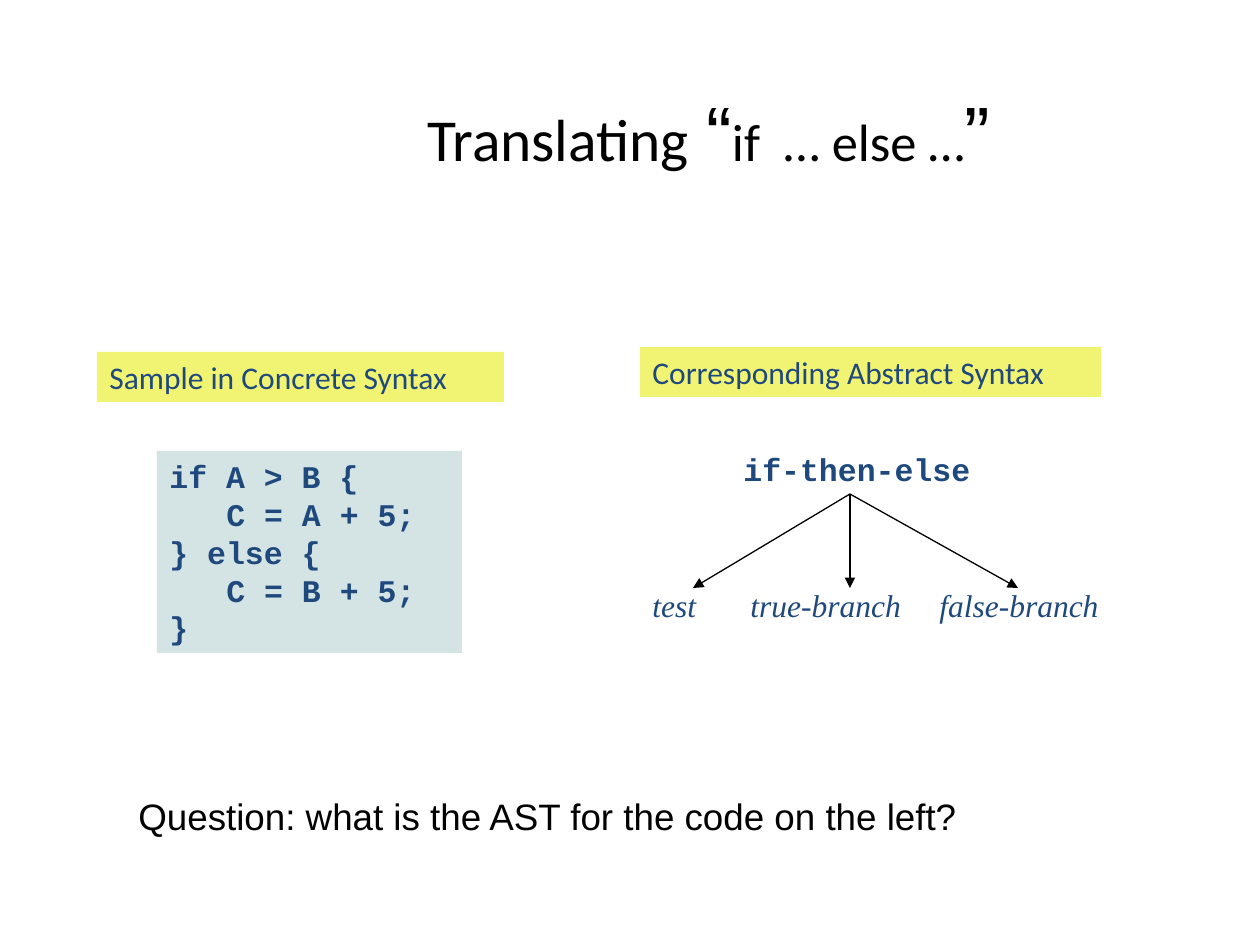
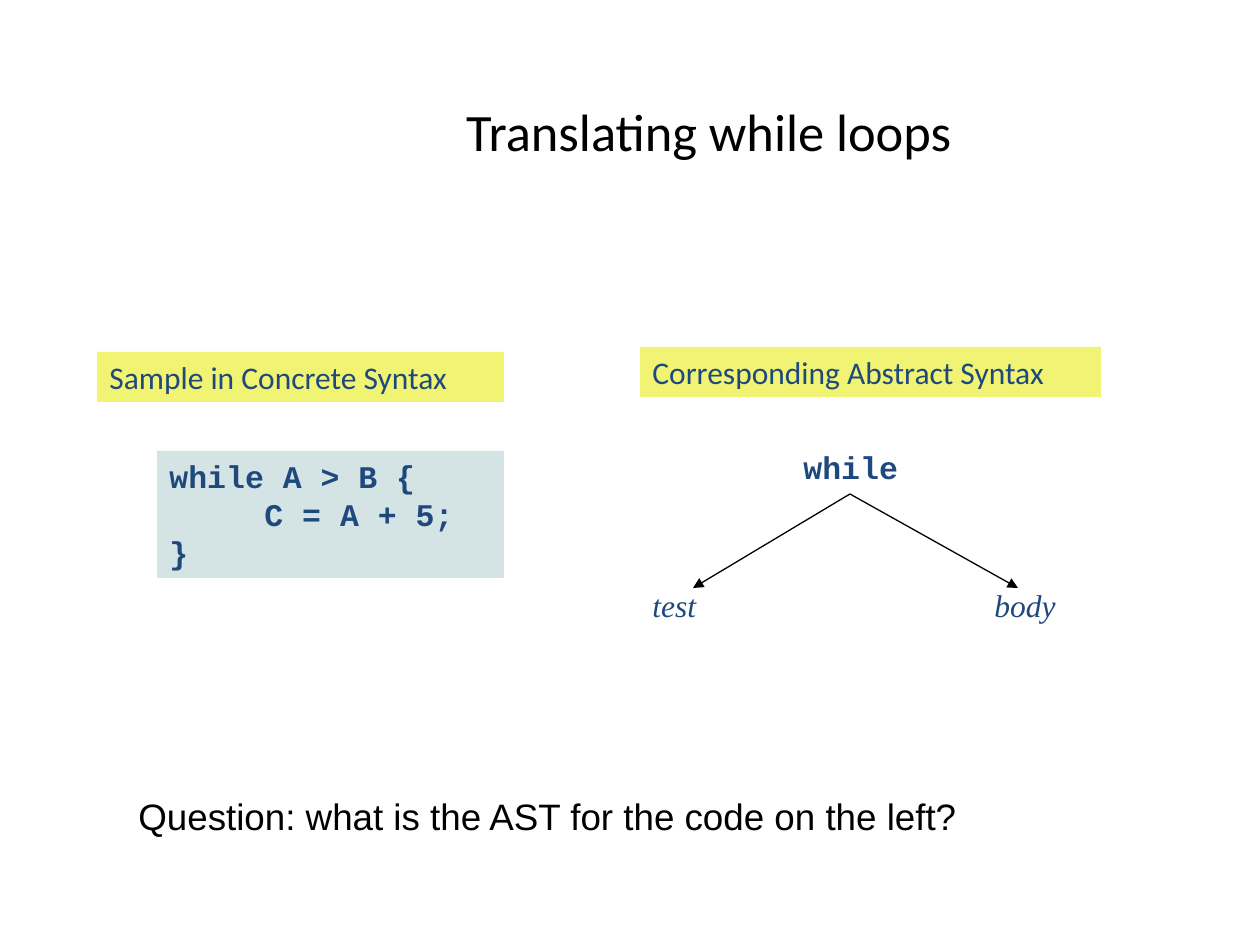
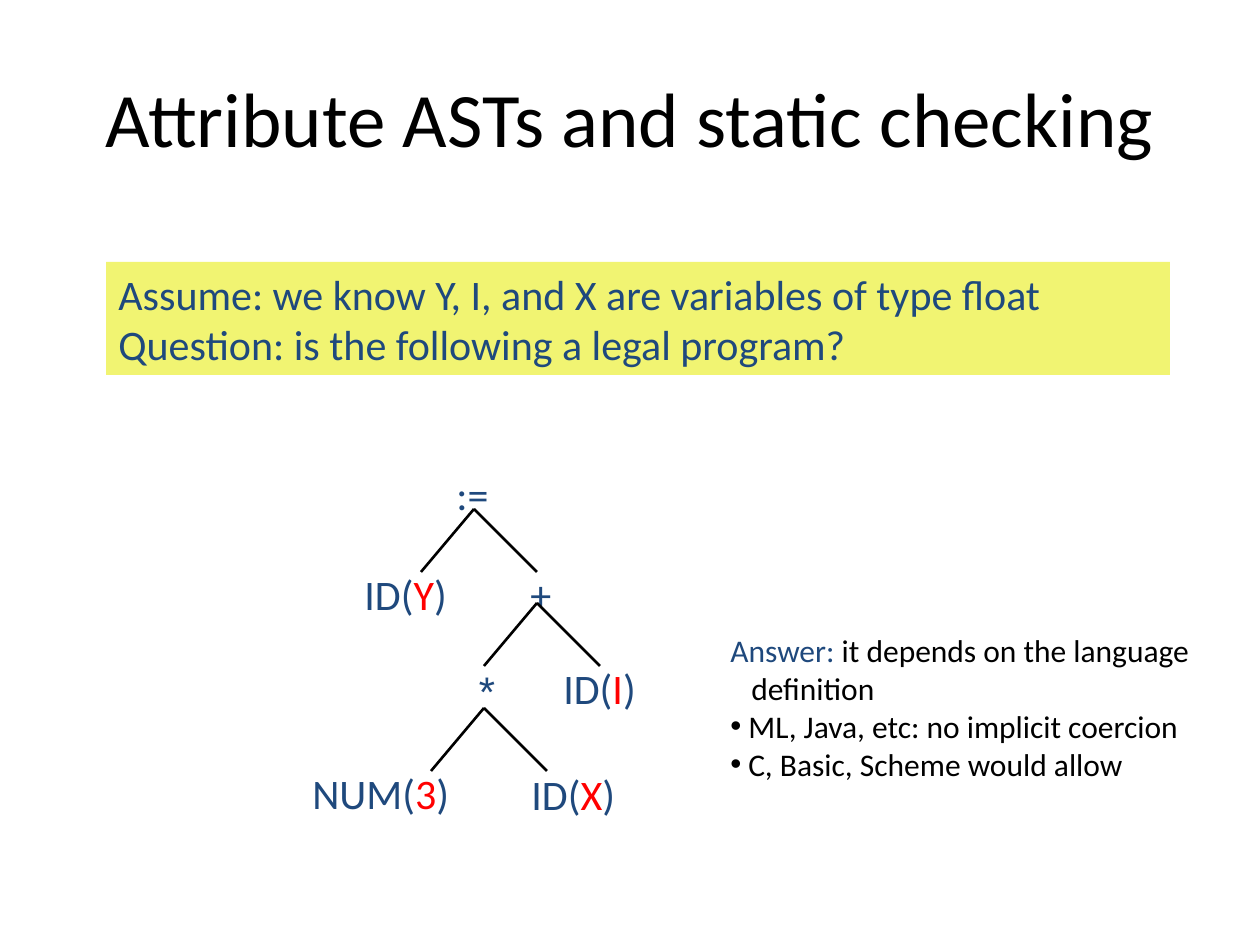
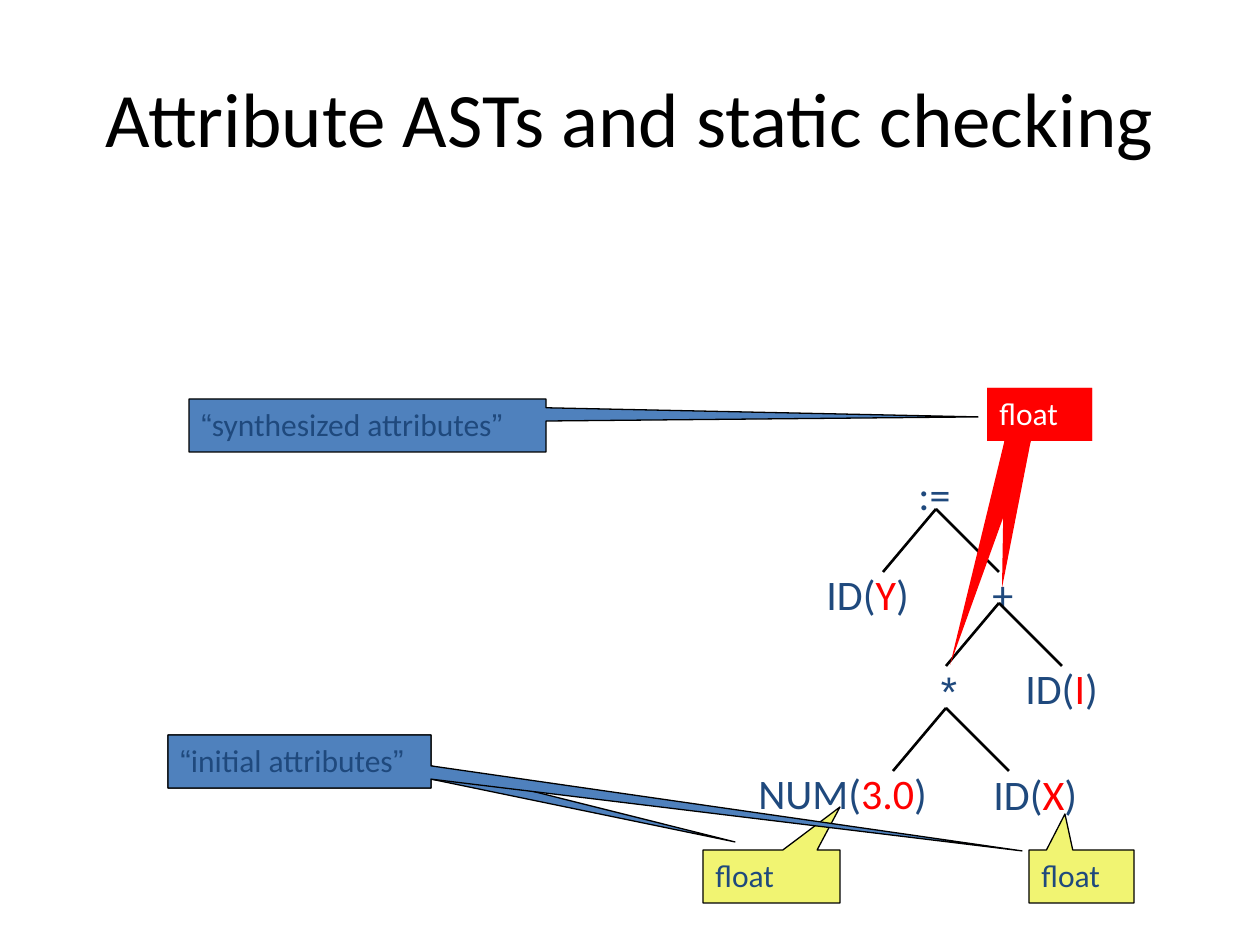
import dataclasses
import typing

import lxml.etree
import pptx
import pptx.dml.color
import pptx.enum.shapes
import pptx.enum.text
import pptx.oxml.ns
import pptx.shapes.base
import pptx.slide
import pptx.text.text
import pptx.util

# Shared look
EMU_PER_PIXEL = 914400 / 126
NAVY, BLACK, RED, WHITE = "1F497D", "000000", "FF0000", "FFFFFF"
YELLOW, PALE_TEAL, BLUE = "F1F472", "D4E4E4", "4F81BD"
SANS, SERIF, MONO, QUOTE = "Calibri", "Times New Roman", "Courier New", "Arial"

Point = tuple[int, int]
Box = tuple[int, int, int, int]


@dataclasses.dataclass(frozen=True)
class Style:
    size: int = 18
    color: str = NAVY
    font: str = SANS
    bold: bool = False
    italic: bool = False


@dataclasses.dataclass(frozen=True)
class Run:
    """A piece of text; only what differs from the line's style is given."""
    text: str
    color: str | None = None
    font: str | None = None
    size: int | None = None


@dataclasses.dataclass(frozen=True)
class Line:
    runs: tuple[Run, ...]
    indent: int = 0
    bullet: bool = False
    tabs: tuple[int, ...] = ()
    centered: bool = False


@dataclasses.dataclass(frozen=True)
class Construct:
    """A language construct: sample code beside its abstract syntax."""
    title: Line
    title_size: int
    code: tuple[Line, ...]
    code_size: Point
    root: str
    root_box: Box
    branches: Line
    branches_width: int
    arrow_ends: tuple[int, ...]


@dataclasses.dataclass(frozen=True)
class Callout:
    runs: tuple[Run, ...]
    box: Box
    tip: Point
    fill: str
    color: str = NAVY
    outlined: bool = True


LABEL = Style()
CODE = Style(font=MONO, bold=True)
BRANCH = Style(font=SERIF, italic=True)
NODE = Style(size=24)
STAR = Style(size=24, font=MONO)
QUESTION = Style(size=21, color=BLACK, font="Arial")


def px(pixels: float) -> pptx.util.Emu:
    return pptx.util.Emu(round(pixels * EMU_PER_PIXEL))


def rgb(color: str) -> pptx.dml.color.RGBColor:
    return pptx.dml.color.RGBColor.from_string(color)


def plain(text: str, **layout: typing.Any) -> Line:
    return Line((Run(text),), **layout)


def add_element(parent: typing.Any, tag: str, **attributes: str) -> typing.Any:
    element = lxml.etree.SubElement(parent, pptx.oxml.ns.qn(tag))
    for key, value in attributes.items():
        element.set(key, value)
    return element


def set_line(paragraph: typing.Any, line: Line, style: Style) -> None:
    properties = paragraph._p.get_or_add_pPr()
    if line.indent:
        properties.set("marL", str(px(line.indent)))
    if line.bullet:
        properties.set("indent", str(px(-line.indent)))
        add_element(properties, "a:buFont", typeface="Arial")
        add_element(properties, "a:buChar", char="•")
    if line.tabs:
        stops = add_element(properties, "a:tabLst")
        for stop in line.tabs:
            add_element(stops, "a:tab", pos=str(px(stop)), algn="l")
    align = pptx.enum.text.PP_ALIGN
    paragraph.alignment = align.CENTER if line.centered else align.LEFT
    font = paragraph.font
    font.name, font.size = style.font, pptx.util.Pt(style.size)
    font.bold, font.italic = style.bold, style.italic
    font.color.rgb = rgb(style.color)
    for piece in line.runs:
        run = paragraph.add_run()
        run.text = piece.text
        if piece.color:
            run.font.color.rgb = rgb(piece.color)
        if piece.font:
            run.font.name = piece.font
        if piece.size:
            run.font.size = pptx.util.Pt(piece.size)


def write(shape: typing.Any, lines: typing.Sequence[Line], style: Style,
          wrap: bool = True, grow: bool = True, middle: bool = False) -> None:
    frame = shape.text_frame
    frame.word_wrap = wrap
    sizing, anchor = pptx.enum.text.MSO_AUTO_SIZE, pptx.enum.text.MSO_ANCHOR
    frame.auto_size = sizing.SHAPE_TO_FIT_TEXT if grow else sizing.NONE
    frame.vertical_anchor = anchor.MIDDLE if middle else anchor.TOP
    for index, line in enumerate(lines):
        set_line(frame.add_paragraph() if index else frame.paragraphs[0], line, style)


def add_text(slide: pptx.slide.Slide, box: Box, lines: typing.Sequence[Line],
             style: Style, **layout: bool) -> None:
    write(slide.shapes.add_textbox(*map(px, box)), lines, style, **layout)


def add_filled(slide: pptx.slide.Slide, kind: pptx.enum.shapes.MSO_SHAPE, box: Box,
               fill: str, outlined: bool = False) -> typing.Any:
    shape = slide.shapes.add_shape(kind, *map(px, box))
    shape.shadow.inherit = False
    shape.fill.solid()
    shape.fill.fore_color.rgb = rgb(fill)
    if outlined:
        shape.line.color.rgb = rgb(BLACK)
        shape.line.width = pptx.util.Pt(0.75)
    else:
        shape.line.fill.background()
    return shape


def add_band(slide: pptx.slide.Slide, box: Box, lines: typing.Sequence[Line],
             style: Style, fill: str = YELLOW, wrap: bool = False) -> None:
    band = add_filled(slide, pptx.enum.shapes.MSO_SHAPE.RECTANGLE, box, fill)
    write(band, lines, style, wrap=wrap)


def add_edge(slide: pptx.slide.Slide, start: Point, end: Point,
             width: float, arrow: bool = False) -> None:
    edge = slide.shapes.add_connector(
        pptx.enum.shapes.MSO_CONNECTOR.STRAIGHT, *map(px, start + end))
    edge.line.color.rgb = rgb(BLACK)
    edge.line.width = pptx.util.Pt(width)
    if arrow:
        add_element(edge.line._get_or_add_ln(), "a:tailEnd", type="triangle")
    add_element(edge._element.spPr, "a:effectLst")


def add_title(slide: pptx.slide.Slide, box: Box, line: Line, size: int) -> None:
    add_text(slide, box, [line], Style(size=size, color=BLACK), grow=False, middle=True)


def add_callout(slide: pptx.slide.Slide, callout: Callout) -> None:
    left, top, width, height = callout.box
    shape = add_filled(slide, pptx.enum.shapes.MSO_SHAPE.RECTANGULAR_CALLOUT,
                       callout.box, callout.fill, callout.outlined)
    # The tip is measured from the centre, as a share of the box
    shape.adjustments[0] = (callout.tip[0] - left) / width - 0.5
    shape.adjustments[1] = (callout.tip[1] - top) / height - 0.5
    write(shape, [Line(callout.runs)], Style(color=callout.color), grow=False)


def add_construct_slide(slide: pptx.slide.Slide, construct: Construct) -> None:
    add_title(slide, (210, 26, 998, 210), construct.title, construct.title_size)
    # Abstract syntax: root, branches and the arrows between them
    add_text(slide, construct.root_box, [plain(construct.root)], CODE, wrap=False)
    add_text(slide, (640, 580, construct.branches_width, 50),
             [construct.branches], BRANCH, wrap=False)
    add_band(slide, (157, 451, *construct.code_size), construct.code, CODE,
             PALE_TEAL, wrap=True)
    for end in construct.arrow_ends:
        add_edge(slide, (850, 494), (end, 588), 0.75, arrow=True)
    # Column headings and the question
    add_band(slide, (97, 352, 407, 50), [plain("Sample in Concrete Syntax")], LABEL)
    add_band(slide, (640, 347, 461, 50), [plain("Corresponding Abstract Syntax")], LABEL)
    add_text(slide, (126, 788, 1018, 57),
             [plain("Question: what is the AST for the code on the left?")], QUESTION)


def leaf(kind: str, value: str) -> Line:
    return Line((Run(f"{kind}("), Run(value, color=RED), Run(")")))


def add_tree(slide: pptx.slide.Slide, number: str, number_width: int,
             shift: int = 0) -> None:
    """Draw the tree of Y := number * X + I, moved right by shift."""
    nodes = [
        (444, 462, 62, plain(":="), NODE),
        (352, 562, 108, leaf("ID", "Y"), NODE),
        (518, 562, 50, plain("+"), NODE),
        (462, 660, 50, plain("*"), STAR),
        (551, 656, 98, leaf("ID", "I"), NODE),
        (382 - number_width // 2, 761, number_width, leaf("NUM", number), NODE),
        (519, 762, 110, leaf("ID", "X"), NODE),
    ]
    for left, top, width, line, style in nodes:
        add_text(slide, (left + shift, top, width, 64), [line], style, wrap=False)
    for x, y in ((474, 509), (537, 603), (484, 708)):
        for reach in (-53, 63):
            add_edge(slide, (x + shift, y), (x + shift + reach, y + 63), 1.5)


def quoted(text: str) -> tuple[Run, ...]:
    return Run("“", font=QUOTE), Run(text), Run("”", font=QUOTE)


CONSTRUCTS = (
    Construct(
        title=Line((Run("Translating"), Run(" ", size=44),
                    Run("“", font=QUOTE, size=44), Run("if  … else …", size=30),
                    Run("”", font=QUOTE, size=44)), centered=True),
        title_size=34,
        code=(plain("if A > B {"), plain("C = A + 5;", indent=57), plain("} else {"),
              plain("C = B + 5;", indent=57), plain("}")),
        code_size=(305, 202),
        root="if-then-else",
        root_box=(731, 444, 252, 50),
        branches=plain("test\ttrue-branch\tfalse-branch", tabs=(98, 287)),
        branches_width=474,
        arrow_ends=(693, 850, 1018),
    ),
    Construct(
        title=plain("Translating while loops", centered=True),
        title_size=30,
        code=(plain("while A > B {"), plain("C = A + 5;", indent=95), plain("}")),
        code_size=(347, 127),
        root="while",
        root_box=(791, 442, 121, 50),
        branches=plain("test\tbody", tabs=(342,)),
        branches_width=430,
        arrow_ends=(693, 1018),
    ),
)

FLOAT = (Run("float"),)
RESULT_BOX = (987, 388, 105, 53)
INITIAL_BOX = (168, 735, 263, 53)
CALLOUTS = (
    Callout(FLOAT, (703, 850, 137, 53), (840, 807), YELLOW),
    Callout(FLOAT, (1029, 850, 105, 53), (1065, 814), YELLOW),
    Callout(FLOAT, RESULT_BOX, (950, 665), RED, outlined=False),
    Callout(FLOAT, RESULT_BOX, (1002, 588), RED, WHITE, outlined=False),
    Callout(quoted("initial attributes"), INITIAL_BOX, (735, 842), BLUE),
    Callout(quoted("synthesized attributes"), (189, 399, 357, 53), (978, 417), BLUE),
    Callout(quoted("initial attributes"), INITIAL_BOX, (1022, 851), BLUE),
)

deck = pptx.Presentation()
deck.slide_width, deck.slide_height = px(1260), px(945)
blank = deck.slide_layouts[6]

# Slides 1 and 2: translating constructs
for construct in CONSTRUCTS:
    add_construct_slide(deck.slides.add_slide(blank), construct)

# Slides 3 and 4: attribute trees
checking, attributes = (deck.slides.add_slide(blank) for _ in range(2))
for slide in (checking, attributes):
    add_title(slide, (63, 38, 1134, 158),
              plain("Attribute ASTs and static checking", centered=True), 44)

add_band(checking, (106, 262, 1064, 113),
         [plain("Assume: we know Y, I, and X are variables of type float"),
          plain("Question: is the following a legal program?")], NODE)
add_tree(checking, "3", 164)
add_text(checking, (718, 625, 528, 164),
         [Line((Run("Answer:", color=NAVY), Run(" it depends on the language"))),
          plain("definition", indent=21),
          plain("ML, Java, etc: no implicit coercion", indent=18, bullet=True),
          plain("C, Basic, Scheme would allow", indent=18, bullet=True)],
         Style(color=BLACK), wrap=False)

add_tree(attributes, "3.0", 196, shift=462)
for callout in CALLOUTS:
    add_callout(attributes, callout)

deck.save("out.pptx")
